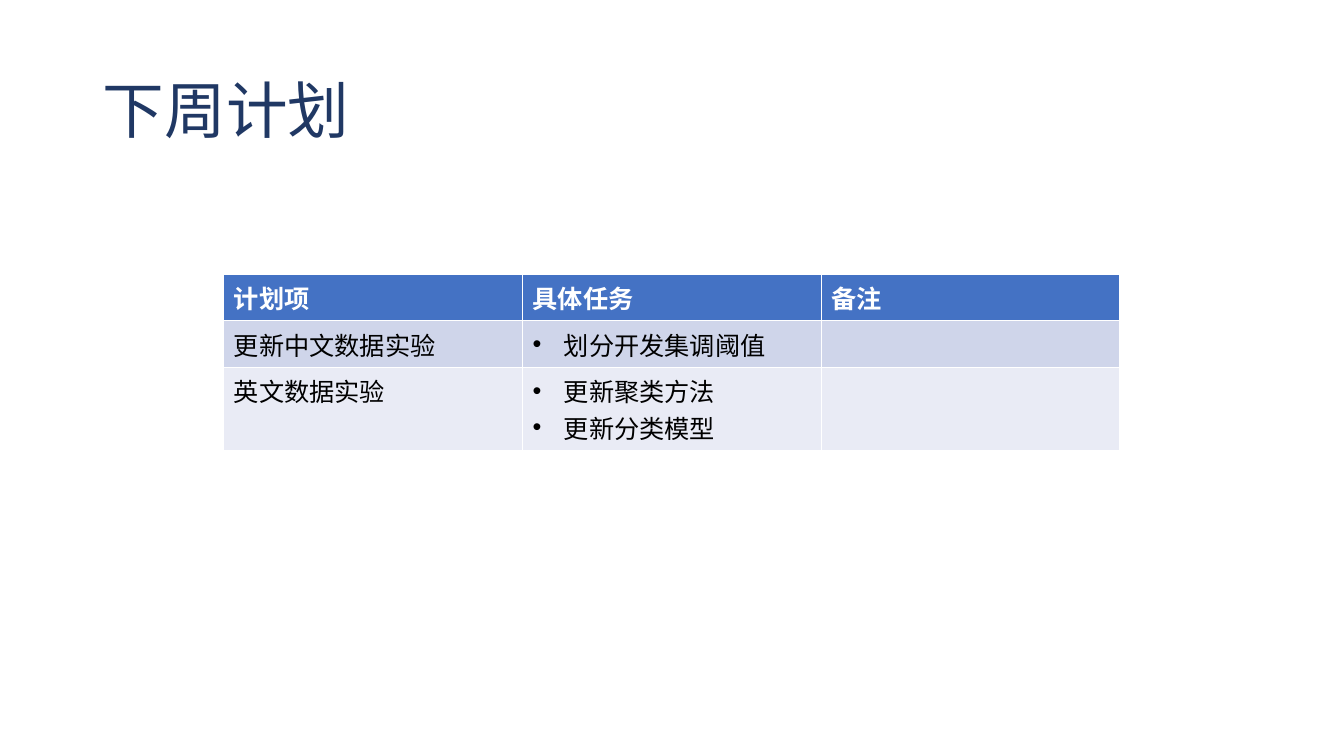
from lxml.etree import SubElement
from pptx import Presentation
from pptx.dml.color import RGBColor
from pptx.enum.text import MSO_ANCHOR, MSO_AUTO_SIZE, PP_ALIGN
from pptx.oxml.ns import qn
from pptx.util import Inches, Pt


def color(value):
    return RGBColor.from_string(value)


def write_text(frame, lines, size=18, font="Arial", fill="000000", bold=False,
               spacing=1.0, bullet=False):
    for index, line in enumerate(lines):
        paragraph = frame.paragraphs[0] if index == 0 else frame.add_paragraph()
        paragraph.alignment = PP_ALIGN.LEFT
        paragraph.line_spacing = spacing
        paragraph.font.size = Pt(size)
        run = paragraph.add_run()
        run.text = line
        run.font.name = font
        run.font.size = Pt(size)
        run.font.bold = bold
        run.font.color.rgb = color(fill)
        if bullet:
            properties = paragraph._p.get_or_add_pPr()
            properties.set("marL", str(Inches(0.31)))
            properties.set("indent", str(-Inches(0.31)))
            SubElement(properties, qn("a:buFont")).set("typeface", "Arial")
            SubElement(properties, qn("a:buChar")).set("char", "•")


presentation = Presentation()
presentation.slide_width = Inches(13.33)
presentation.slide_height = Inches(7.5)
slide = presentation.slides.add_slide(presentation.slide_layouts[5])

title = slide.shapes.title
title.left, title.top = Inches(0.92), Inches(0.4)
title.width, title.height = Inches(11.5), Inches(1.45)
title.text_frame.auto_size = MSO_AUTO_SIZE.NONE
title.text_frame.vertical_anchor = MSO_ANCHOR.MIDDLE
write_text(title.text_frame, ["下周计划"], size=44, font="Times New Roman",
           fill="203864", spacing=0.9)

plan_rows = [
    [["计划项"], ["具体任务"], ["备注"]],
    [["更新中文数据实验"], ["划分开发集调阈值"], [""]],
    [["英文数据实验"], ["更新聚类方法", "更新分类模型"], [""]],
]
row_fills = ["4472C4", "CFD5EA", "E9EBF5"]
row_height = Inches(0.41)
task_column = 1

plan_table = slide.shapes.add_table(
    len(plan_rows), len(plan_rows[0]), Inches(2.22), Inches(2.72),
    Inches(8.89), row_height * len(plan_rows)).table

for row_index, (plan_row, row_fill) in enumerate(zip(plan_rows, row_fills)):
    plan_table.rows[row_index].height = row_height
    is_header = row_index == 0
    for column_index, lines in enumerate(plan_row):
        cell = plan_table.cell(row_index, column_index)
        cell.fill.solid()
        cell.fill.fore_color.rgb = color(row_fill)
        if any(lines):
            write_text(cell.text_frame, lines, bold=is_header,
                       fill="FFFFFF" if is_header else "000000",
                       bullet=column_index == task_column and not is_header)

presentation.save("out.pptx")
